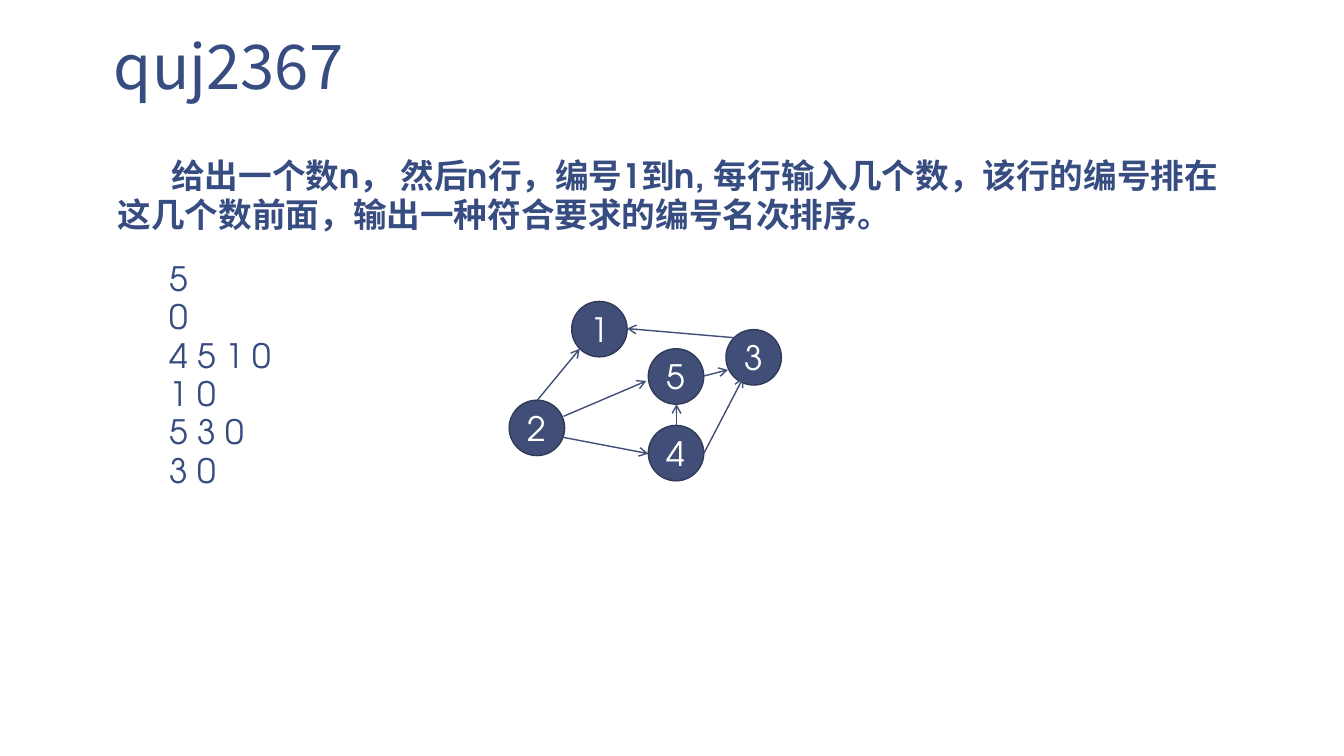
from lxml.etree import SubElement
from pptx import Presentation
from pptx.dml.color import RGBColor
from pptx.enum.shapes import MSO_CONNECTOR as Connector, MSO_SHAPE as Shape
from pptx.enum.text import MSO_ANCHOR as Anchor, MSO_AUTO_SIZE as AutoSize, PP_ALIGN as Align
from pptx.oxml.ns import qn
from pptx.util import Emu, Pt

TITLE = "quj2367"
TASK = "给出一个数n， 然后n行，编号1到n, 每行输入几个数，该行的编号排在这几个数前面，输出一种符合要求的编号名次排序。"
SAMPLE = ["5", "0", "4 5 1 0", "1 0", "5 3 0", "3 0"]
NODES = {"1": (567, 299), "2": (505, 397), "3": (720, 327), "4": (643, 422), "5": (643, 346)}
EDGES = [
    ((533, 397), (575, 346)),
    ((554, 433), (643, 450)),
    ((559, 413), (641, 378)),
    ((728, 335), (622, 326)),
    ((671, 422), (671, 401)),
    ((698, 450), (737, 375)),
    ((698, 373), (722, 367)),
]
NODE_SIZE = 55
CJK, LATIN = "Noto Sans CJK SC", "TeX Gyre Adventor"
INK, NODE_FILL, NODE_LINE, WHITE = "374C81", "414E77", "303A58", "FFFFFF"


def px(length):
    return Emu(length * 9144)


def color(code):
    return RGBColor.from_string(code)


def write(frame, lines, size=24, font=LATIN, ink=INK, bold=False,
          align=Align.LEFT, spacing=0.95, indent=0):
    frame.word_wrap = True
    for number, line in enumerate(lines):
        para = frame.add_paragraph() if number else frame.paragraphs[0]
        para.alignment = align
        para.line_spacing = spacing
        if indent:
            para._p.get_or_add_pPr().set("indent", str(px(indent)))
        span = para.add_run()
        span.text = line
        span.font.size = Pt(size)
        span.font.name = font
        span.font.bold = bold
        span.font.color.rgb = color(ink)
        SubElement(span._r.get_or_add_rPr(), qn("a:ea"), typeface=CJK)


def place(shape, left, top, width, height):
    shape.left, shape.top, shape.width, shape.height = map(px, (left, top, width, height))


def add_text(page, bounds, lines, **style):
    box = page.shapes.add_textbox(*map(px, bounds))
    write(box.text_frame, lines, **style)
    box.text_frame.auto_size = AutoSize.SHAPE_TO_FIT_TEXT


def add_node(page, label, left, top):
    node = page.shapes.add_shape(Shape.OVAL, *map(px, (left, top, NODE_SIZE, NODE_SIZE)))
    node.shadow.inherit = False
    node.fill.solid()
    node.fill.fore_color.rgb = color(NODE_FILL)
    node.line.color.rgb = color(NODE_LINE)
    node.line.width = Pt(1)
    node.text_frame.vertical_anchor = Anchor.MIDDLE
    write(node.text_frame, [label], ink=WHITE, align=Align.CENTER, spacing=1.0)


def add_arrow(page, start, end):
    arrow = page.shapes.add_connector(Connector.STRAIGHT, *map(px, start + end))
    arrow.line.color.rgb = color(NODE_FILL)
    arrow.line.width = Pt(1)
    SubElement(arrow.line._get_or_add_ln(), qn("a:tailEnd"), type="arrow")
    SubElement(arrow._element.spPr, qn("a:effectLst"))


def main():
    deck = Presentation()
    deck.slide_width, deck.slide_height = px(1333), px(750)
    page = deck.slides.add_slide(deck.slide_layouts[5])

    title = page.shapes.title
    place(title, 100, -45, 1111, 153)
    frame = title.text_frame
    frame.auto_size = AutoSize.NONE
    frame.vertical_anchor = Anchor.BOTTOM
    frame.margin_left = frame.margin_right = px(13)
    frame.margin_top = frame.margin_bottom = px(7)
    write(frame, [TITLE], size=44, font=CJK, spacing=0.85)

    add_text(page, (107, 152, 1126, 88), [TASK], bold=True, indent=53)
    add_text(page, (158, 254, 278, 239), SAMPLE)
    for label, (left, top) in NODES.items():
        add_node(page, label, left, top)
    for start, end in EDGES:
        add_arrow(page, start, end)
    deck.save("out.pptx")


if __name__ == "__main__":
    main()
